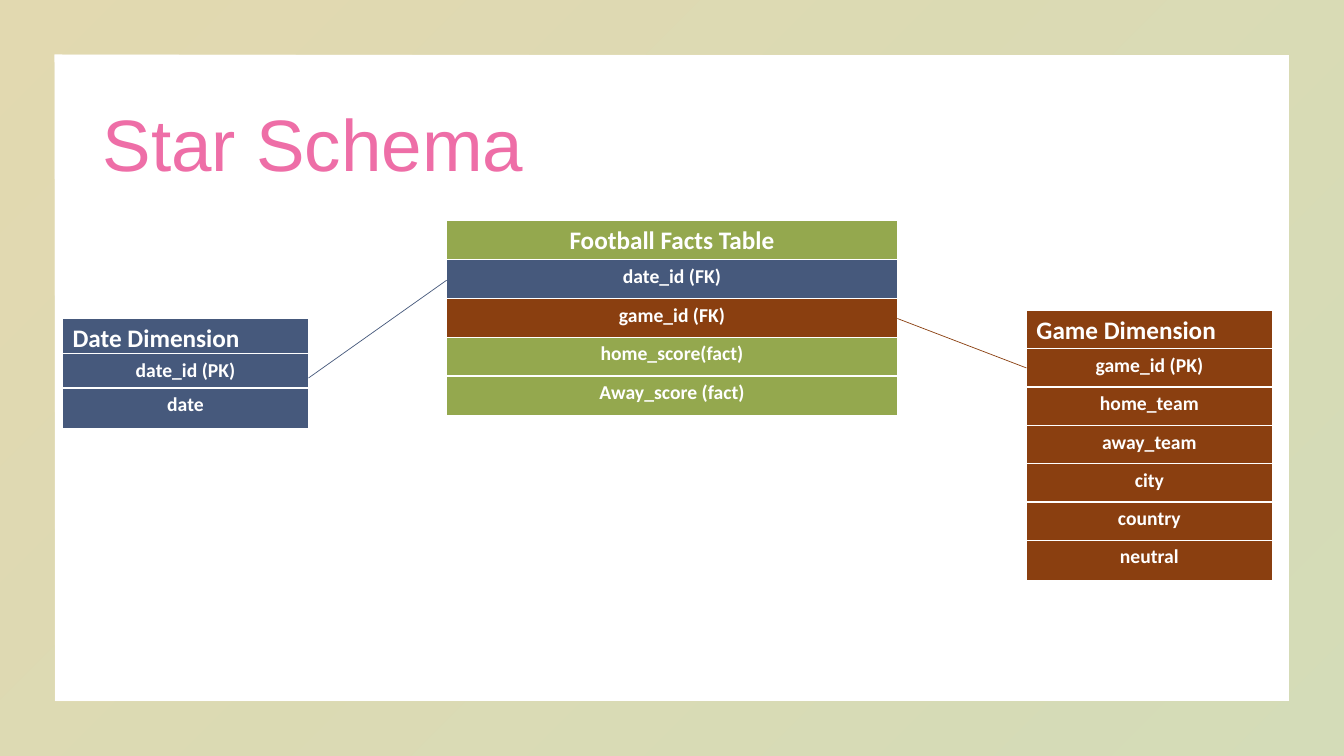
import pptx
import pptx.util
import pptx.dml.color
import pptx.enum.shapes
import pptx.enum.text
import pptx.oxml
import pptx.oxml.ns

Inches = pptx.util.Inches
Pt = pptx.util.Pt
ALIGN = pptx.enum.text.PP_ALIGN

COLORS = {"white": "FFFFFF", "gold": "B8A03A", "green": "94A84E",
          "blue": "46597C", "brown": "8A3F10", "pink": "EE6EA7"}
TITLE = "Star Schema"
ENTITIES = [
    {"left": 4.43, "top": 2.19, "width": 4.47, "step": 0.385, "head_align": ALIGN.CENTER,
     "rows": [("Football Facts Table", "green"), ("date_id (FK)", "blue"),
              ("game_id (FK)", "brown"), ("home_score(fact)", "green"),
              ("Away_score (fact)", "green")]},
    {"left": 0.62, "top": 3.16, "width": 2.44, "step": 0.345, "head_align": ALIGN.LEFT,
     "rows": [("Date Dimension", "blue"), ("date_id (PK)", "blue"), ("date", "blue")]},
    {"left": 10.18, "top": 3.08, "width": 2.44, "step": 0.38, "head_align": ALIGN.LEFT,
     "rows": [("Game Dimension", "brown"), ("game_id (PK)", "brown"),
              ("home_team", "brown"), ("away_team", "brown"), ("city", "brown"),
              ("country", "brown"), ("neutral", "brown")]},
]
LINKS = [((3.06, 3.75), (4.43, 2.78), "blue"),
         ((8.9, 3.16), (10.18, 3.65), "brown")]
BORDERS = {"lnL": 1, "lnR": 1, "lnT": 1, "lnB": 3}
ROW_HEIGHT = 0.41
NS = pptx.oxml.ns.nsdecls("a")


def rgb(name):
    return pptx.dml.color.RGBColor.from_string(COLORS[name])


def gradient(stops, angle):
    gs = "".join(
        f'<a:gs pos="{pos * 1000}"><a:srgbClr val="{COLORS[name]}">'
        f'<a:alpha val="{alpha * 1000}"/></a:srgbClr></a:gs>'
        for pos, name, alpha in stops)
    return pptx.oxml.parse_xml(
        f'<a:gradFill {NS} rotWithShape="1"><a:gsLst>{gs}</a:gsLst>'
        f'<a:lin ang="{angle * 60000}" scaled="0"/></a:gradFill>')


def write(tf, text, size, font="Calibri", color=None, bold=False,
          align=ALIGN.LEFT, spacing=None):
    p = tf.paragraphs[0]
    p.alignment = align
    p.line_spacing = spacing
    r = p.add_run()
    r.text = text
    r.font.name = font
    r.font.size = Pt(size)
    r.font.bold = bold
    if color:
        r.font.color.rgb = rgb(color)
    return r


def add_frame(s):
    sp = s.shapes.add_shape(pptx.enum.shapes.MSO_SHAPE.FRAME, 0, 0,
                            Inches(13.33), Inches(7.5))
    sp.adjustments[0] = 0.072
    sp.shadow.inherit = False
    sp.line.fill.background()
    sp._element.spPr.insert(2, gradient([(0, "gold", 40), (100, "green", 40)], 45))


def add_title(s):
    sp = s.shapes.title
    sp.left, sp.top, sp.width, sp.height = map(Inches, (0.92, 0.74, 11.5, 1.45))
    sp.text_frame.vertical_anchor = pptx.enum.text.MSO_ANCHOR.MIDDLE
    r = write(sp.text_frame, TITLE, 52, font="Arial", spacing=0.9)
    r.font._element.insert(0, gradient([(0, "pink", 100), (100, "green", 70)], 0))


def add_field(s, left, top, width, text, fill, size, align):
    table = s.shapes.add_table(1, 1, Inches(left), Inches(top),
                               Inches(width), Inches(ROW_HEIGHT)).table
    table.first_row = False
    table.horz_banding = False
    cell = table.cell(0, 0)
    write(cell.text_frame, text, size, color="white", bold=True, align=align)
    tc_pr = cell._tc.get_or_add_tcPr()
    for tag, points in BORDERS.items():
        tc_pr.append(pptx.oxml.parse_xml(
            f'<a:{tag} {NS} w="{Pt(points)}"><a:solidFill>'
            f'<a:srgbClr val="{COLORS["white"]}"/></a:solidFill></a:{tag}>'))
    cell.fill.solid()
    cell.fill.fore_color.rgb = rgb(fill)


def add_entity(s, entity):
    for i, (text, fill) in enumerate(entity["rows"]):
        add_field(s, entity["left"], entity["top"] + i * entity["step"],
                  entity["width"], text, fill, 14 if i else 18,
                  ALIGN.CENTER if i else entity["head_align"])


def add_link(s, start, end, color):
    line = s.shapes.add_connector(pptx.enum.shapes.MSO_CONNECTOR.STRAIGHT,
                                  *map(Inches, start + end))
    line.line.color.rgb = rgb(color)
    line.line.width = Pt(0.5)
    line._element.spPr.append(pptx.oxml.parse_xml(f"<a:effectLst {NS}/>"))


def main():
    prs = pptx.Presentation()
    prs.slide_width, prs.slide_height = Inches(13.33), Inches(7.5)
    s = prs.slides.add_slide(prs.slide_layouts[5])
    add_frame(s)
    add_title(s)
    for entity in ENTITIES:
        add_entity(s, entity)
    for start, end, color in LINKS:
        add_link(s, start, end, color)
    prs.save("out.pptx")


if __name__ == "__main__":
    main()
